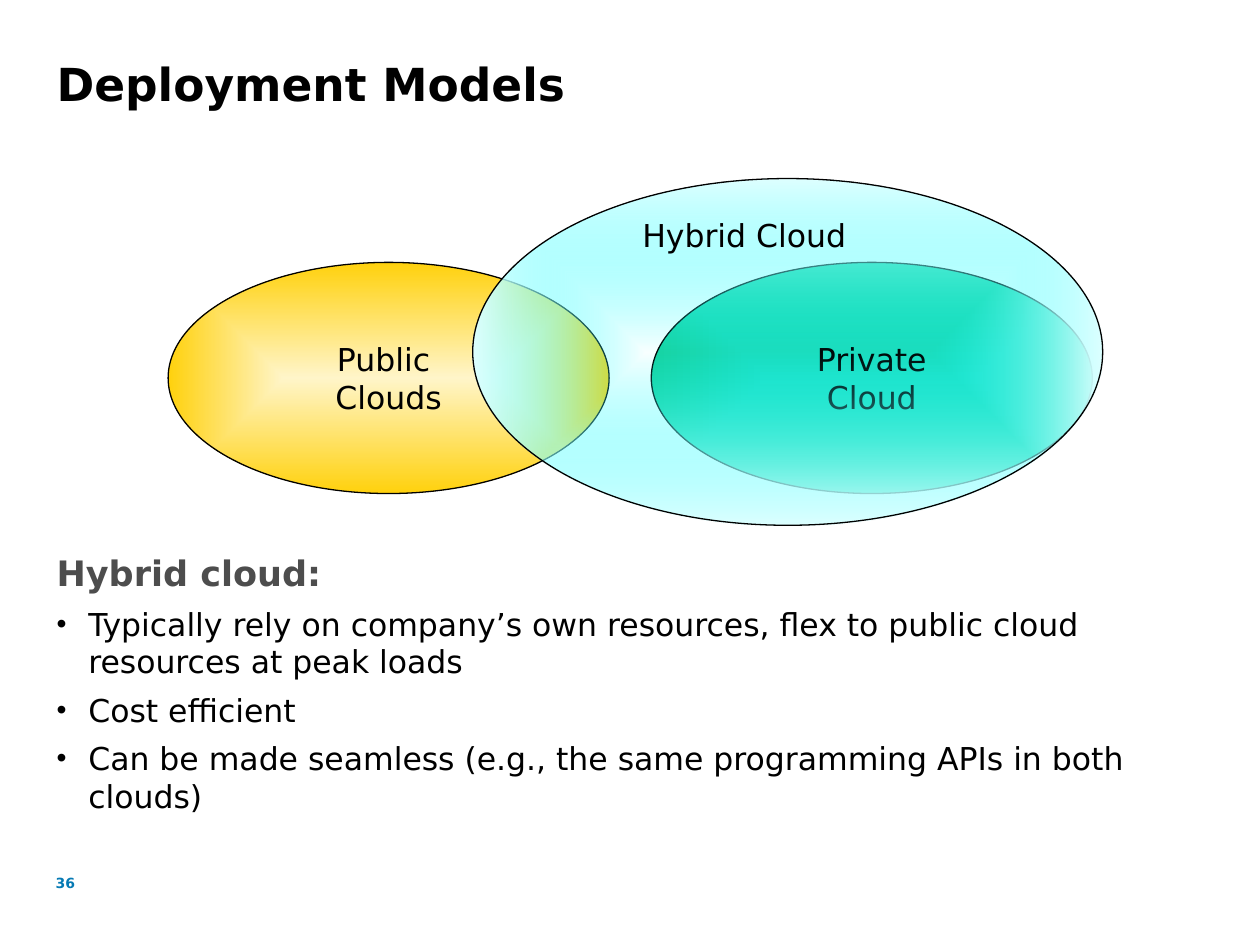
import pptx
import pptx.dml.color
import pptx.enum.shapes
import pptx.enum.text
import pptx.oxml
import pptx.oxml.ns
import pptx.util

Cm = pptx.util.Cm
Pt = pptx.util.Pt
RGBColor = pptx.dml.color.RGBColor
ALIGN = pptx.enum.text.PP_ALIGN
ANCHOR = pptx.enum.text.MSO_ANCHOR
AUTO_SIZE = pptx.enum.text.MSO_AUTO_SIZE

FONT = "DejaVu Sans"
BLACK = RGBColor(0x00, 0x00, 0x00)
GREY = RGBColor(0x4D, 0x4D, 0x4D)
BLUE = RGBColor(0x06, 0x7A, 0xB4)
AQUA = RGBColor(0x1D, 0xDF, 0xC4)
GREEN = RGBColor(0x18, 0xD2, 0xA1)
CREAM = RGBColor(0xFF, 0xF5, 0xC9)
YELLOW = RGBColor(0xFF, 0xD1, 0x0D)
CYAN = RGBColor(0x00, 0xFF, 0xFF)
PALE_CYAN = RGBColor(0xDF, 0xFF, 0xFF)

NO_INSETS = {"margin_left": 0, "margin_top": 0, "margin_right": 0, "margin_bottom": 0}
LABEL = {"size": Pt(18), "bold": False}
HEADING = {"size": Pt(20), "bold": True}

BULLETS = [
    "Typically rely on company’s own resources, flex to public cloud resources at peak loads",
    "Cost efficient",
    "Can be made seamless (e.g., the same programming APIs in both clouds)",
]


def drawing_xml(tag, content="", attributes=""):
    return pptx.oxml.parse_xml(
        f"<a:{tag} {pptx.oxml.ns.nsdecls('a')} {attributes}>{content}</a:{tag}>"
    )


def set_values(target, values):
    for name, value in values.items():
        setattr(target, name, value)


def place(shape, left, top, width, height):
    set_values(shape, {"left": Cm(left), "top": Cm(top),
                       "width": Cm(width), "height": Cm(height)})


def write(para, text, color, values):
    """Write text into a paragraph, with a line break at each newline."""
    for index, line in enumerate(text.split("\n")):
        if index:
            para.add_line_break()
        span = para.add_run()
        span.text = line
        set_values(span.font, {"name": FONT, **values})
        span.font.color.rgb = color


def set_bullet(para):
    """Give the paragraph a black dot and a hanging indent."""
    properties = para._p.get_or_add_pPr()
    properties.set("marL", str(Cm(0.64)))
    properties.set("indent", str(-Cm(0.64)))
    properties.append(drawing_xml("buClr", f'<a:srgbClr val="{BLACK}"/>'))
    properties.append(drawing_xml("buSzPct", attributes='val="90000"'))
    properties.append(drawing_xml("buChar", attributes='char="•"'))


def set_no_bullet(para):
    properties = para._p.get_or_add_pPr()
    properties.set("marL", "0")
    properties.set("indent", "0")
    properties.append(drawing_xml("buNone"))


def fill_from_centre(shape, inner, outer, inner_alpha=None):
    """Fill with a gradient that runs from the centre to the outline."""
    shape.fill.gradient()
    for stop, color in zip(shape.fill.gradient_stops, (inner, outer)):
        stop.color.rgb = color
    gradient = shape._element.spPr.find(pptx.oxml.ns.qn("a:gradFill"))
    gradient.remove(gradient.find(pptx.oxml.ns.qn("a:lin")))
    centre = '<a:fillToRect l="50000" t="50000" r="50000" b="50000"/>'
    gradient.append(drawing_xml("path", centre, 'path="shape"'))
    if inner_alpha is not None:
        inner_color = next(gradient.iter(pptx.oxml.ns.qn("a:srgbClr")))
        inner_color.append(drawing_xml("alpha", attributes=f'val="{inner_alpha * 1000}"'))


def add_cloud(page, area, inner, outer, text=None, inner_alpha=None):
    left, top, width, height = map(Cm, area)
    cloud = page.shapes.add_shape(
        pptx.enum.shapes.MSO_SHAPE.OVAL, left, top, width, height)
    cloud.shadow.inherit = False
    fill_from_centre(cloud, inner, outer, inner_alpha)
    cloud.line.color.rgb = BLACK
    cloud.line.width = Pt(0.75)
    if text:
        frame = cloud.text_frame
        set_values(frame, {"word_wrap": False, "vertical_anchor": ANCHOR.MIDDLE})
        frame.paragraphs[0].alignment = ALIGN.CENTER
        write(frame.paragraphs[0], text, BLACK, LABEL)


def add_text(page, area, text, color, values, frame_values, alignment):
    box = page.shapes.add_textbox(*map(Cm, area))
    set_values(box.text_frame, frame_values)
    para = box.text_frame.paragraphs[0]
    para.alignment = alignment
    write(para, text, color, values)


def fill_title(title):
    place(title, 1.14, 1.07, 23.14, 2.34)
    set_values(title.text_frame, {**NO_INSETS, "vertical_anchor": ANCHOR.TOP,
                                  "auto_size": AUTO_SIZE.NONE})
    para = title.text_frame.paragraphs[0]
    set_values(para, {"alignment": ALIGN.LEFT, "line_spacing": 1.05, "space_before": Pt(0)})
    write(para, "Deployment Models", BLACK, {"size": Pt(26), "bold": True})


def fill_body(body):
    place(body, 1.14, 11, 23.29, 5.92)
    frame = body.text_frame
    set_values(frame, {"margin_left": 0, "vertical_anchor": ANCHOR.TOP,
                       "auto_size": AUTO_SIZE.NONE})
    heading = frame.paragraphs[0]
    set_no_bullet(heading)
    heading.space_before = Pt(0)
    write(heading, "Hybrid cloud:", GREY, HEADING)
    for text in BULLETS:
        para = frame.add_paragraph()
        set_bullet(para)
        para.space_before = Pt(6)
        write(para, text, BLACK, LABEL)


def main():
    deck = pptx.Presentation()
    deck.slide_width, deck.slide_height = Cm(25.4), Cm(19.05)
    page = deck.slides.add_slide(deck.slide_layouts[1])
    fill_title(page.shapes.title)
    fill_body(page.placeholders[1])
    add_cloud(page, (13.13, 5.29, 8.89, 4.66), AQUA, GREEN, "Private\nCloud")
    add_cloud(page, (3.39, 5.29, 8.89, 4.66), CREAM, YELLOW, "Public \nClouds")
    add_cloud(page, (9.53, 3.6, 12.7, 6.99), CYAN, PALE_CYAN, inner_alpha=2)
    add_text(page, (12.67, 4.24, 4.67, 1.04), "Hybrid Cloud", BLACK, LABEL,
             {"word_wrap": False, "auto_size": AUTO_SIZE.SHAPE_TO_FIT_TEXT}, ALIGN.CENTER)
    add_text(page, (1.12, 17.63, 1.07, 0.43), "36", BLUE, {"size": Pt(8), "bold": True},
             {**NO_INSETS, "word_wrap": True}, ALIGN.LEFT)
    deck.save("out.pptx")


if __name__ == "__main__":
    main()
